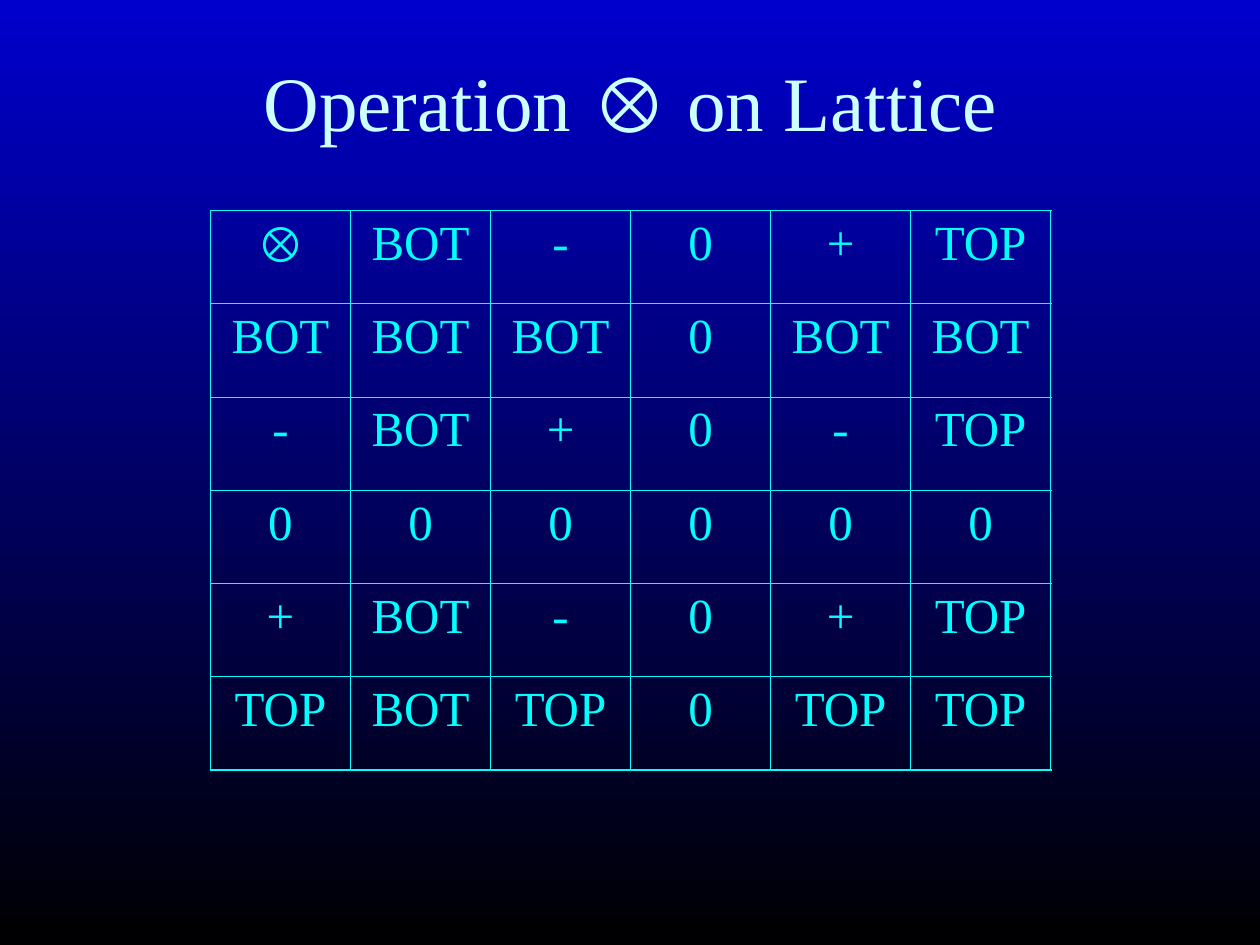
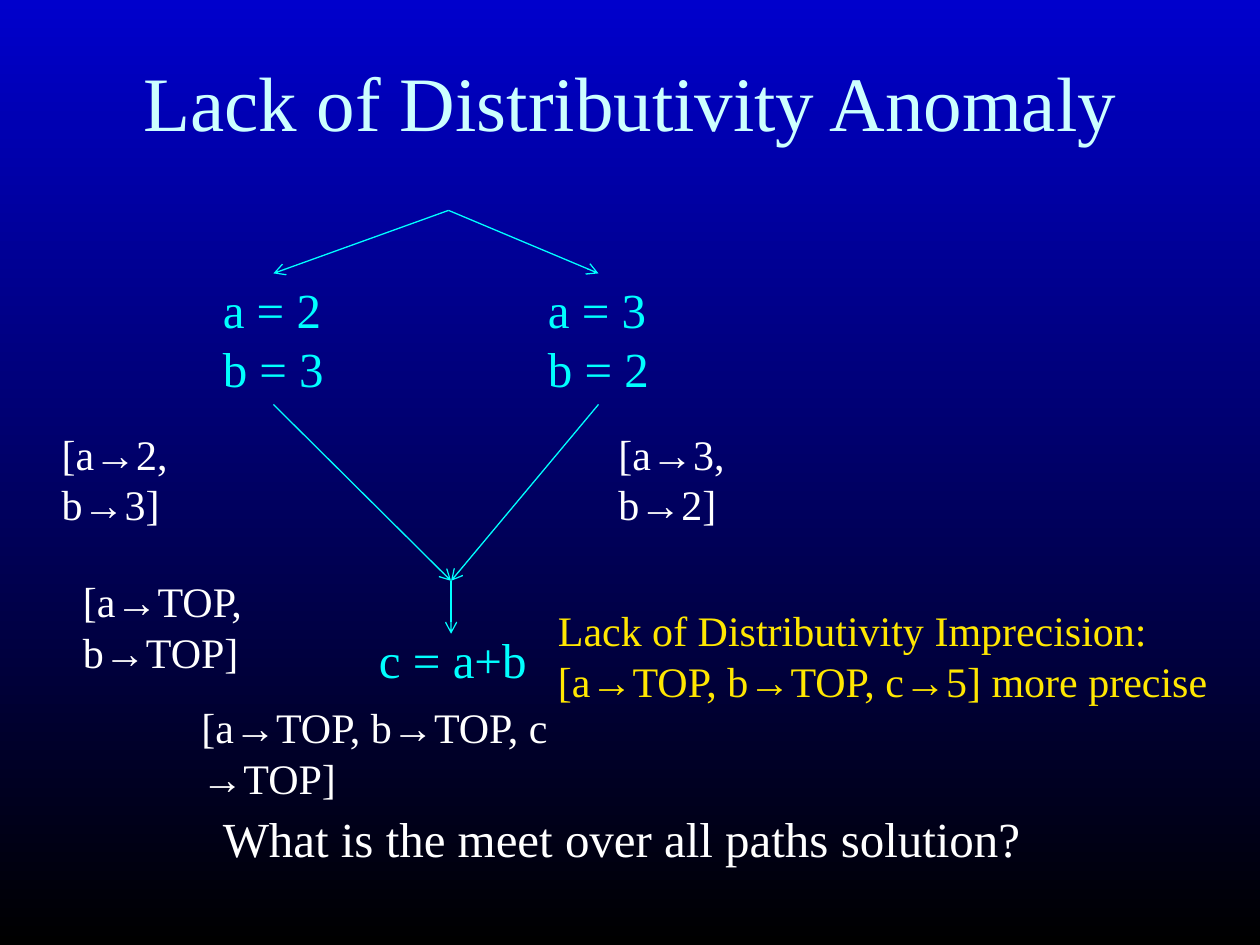
from itertools import groupby
from lxml import etree
from pptx import Presentation
from pptx.dml.color import RGBColor
from pptx.enum.shapes import MSO_CONNECTOR
from pptx.enum.text import MSO_ANCHOR, PP_ALIGN
from pptx.oxml.ns import qn
from pptx.util import Inches, Pt

LINE = MSO_CONNECTOR.STRAIGHT
CENTER = PP_ALIGN.CENTER
MIDDLE = MSO_ANCHOR.MIDDLE
BLUE = RGBColor(0x00, 0x00, 0xCC)
BLACK = RGBColor(0x00, 0x00, 0x00)
PALE = RGBColor(0xCC, 0xFF, 0xFF)
CYAN = RGBColor(0x00, 0xFF, 0xFF)
WHITE = RGBColor(0xFF, 0xFF, 0xFF)
GOLD = RGBColor(0xFF, 0xE7, 0x01)
SIGNS = "⊗→"


def write(par, text, size, color):
    """Add text to a paragraph, with the math signs in Arial."""
    for sign, chars in groupby(text, lambda char: char in SIGNS):
        run = par.add_run()
        run.text = "".join(chars)
        run.font.color.rgb = color
        look = {"name": "Arial" if sign else "Times New Roman", "size": Pt(size)}
        for key, value in look.items():
            setattr(run.font, key, value)


def add_text(slide, place, text, size, color, wrap=False):
    box = slide.shapes.add_textbox(*map(Inches, place))
    frame = box.text_frame
    frame.word_wrap = wrap
    for i, line in enumerate(text.split("\n")):
        par = frame.add_paragraph() if i else frame.paragraphs[0]
        write(par, line, size, color)
    return box


prs = Presentation()
prs.slide_width, prs.slide_height = Inches(10), Inches(7.5)
back = prs.slide_master.background.fill
back.gradient()
back.gradient_angle = 270
for stop, color in zip(back.gradient_stops, (BLUE, BLACK)):
    stop.color.rgb = color

slides = []
for title in ("Operation ⊗ on Lattice", "Lack of Distributivity Anomaly"):
    slide = prs.slides.add_slide(prs.slide_layouts[6])
    box = add_text(slide, (0.42, 0.17, 9.17, 1.25), title, 44, PALE, True)
    box.text_frame.vertical_anchor = MIDDLE
    box.text_frame.paragraphs[0].alignment = CENTER
    slides.append(slide)
lattice, anomaly = slides

# Slide 1: the operation table
ROWS = [row.split() for row in (
    "⊗ BOT - 0 + TOP",
    "BOT BOT BOT 0 BOT BOT",
    "- BOT + 0 - TOP",
    "0 0 0 0 0 0",
    "+ BOT - 0 + TOP",
    "TOP BOT TOP 0 TOP TOP",
)]
count = len(ROWS)
last = count - 1
table = lattice.shapes.add_table(
    count, count, Inches(1.67), Inches(1.67), Inches(6.67), Inches(4.44)).table
table.first_row = table.horz_banding = False
for r, row in enumerate(ROWS):
    for c, text in enumerate(row):
        cell = table.cell(r, c)
        par = cell.text_frame.paragraphs[0]
        par.alignment = CENTER
        par.space_before = Pt(7)
        write(par, text, 28, CYAN)
        props = cell._tc.get_or_add_tcPr()
        outer = {"L": c == 0, "R": c == last, "T": r == 0, "B": r == last}
        for side, edge in outer.items():
            width = Pt(1.08 if edge else 0.45)
            border = etree.SubElement(props, qn("a:ln" + side), w=str(width))
            fill = etree.SubElement(border, qn("a:solidFill"))
            etree.SubElement(fill, qn("a:srgbClr"), val=str(CYAN))
        cell.fill.background()

# Slide 2: the flow graph
left = add_text(anomaly, (1.67, 2.17, 1, 1.04), "a = 2\nb = 3", 28, CYAN)
right = add_text(anomaly, (4.25, 2.17, 1, 1.04), "a = 3\nb = 2", 28, CYAN)
add_text(anomaly, (2.91, 4.95, 1.37, 0.57), "c = a+b", 28, CYAN)

FORK, JOIN, END = (3.56, 1.67), (3.58, 4.61), (3.58, 5.03)
for start, stop, source, target in (
    (FORK, (2.17, 2.17), None, left),
    (FORK, (4.75, 2.17), None, right),
    ((2.17, 3.21), JOIN, left, None),
    ((4.75, 3.21), JOIN, right, None),
    (JOIN, END, None, None),
):
    arrow = anomaly.shapes.add_connector(LINE, *map(Inches, start + stop))
    if source:
        arrow.begin_connect(source, 2)
    if target:
        arrow.end_connect(target, 0)
    arrow.line.color.rgb = CYAN
    arrow.line.width = Pt(0.75)
    etree.SubElement(arrow.line._get_or_add_ln(), qn("a:tailEnd"), type="arrow")
    etree.SubElement(arrow._element.spPr, qn("a:effectLst"))

for place, text, color in (
    ((4.81, 3.35, 1.78, 0.9), "[a→3, b→2]", WHITE),
    ((0.39, 3.35, 1.78, 0.9), "[a→2, b→3]", WHITE),
    ((0.56, 4.52, 2.6, 0.9), "[a→TOP, b→TOP]", WHITE),
    ((1.5, 5.52, 3.95, 0.9), "[a→TOP, b→TOP, c →TOP]", WHITE),
    ((4.33, 4.75, 5.5, 0.9), "Lack of Distributivity Imprecision: "
     "[a→TOP, b→TOP, c→5] more precise", GOLD),
):
    add_text(anomaly, place, text, 24, color, True)
add_text(anomaly, (1.67, 6.37, 6.53, 0.57),
         "What is the meet over all paths solution?", 28, WHITE)

prs.save("out.pptx")
